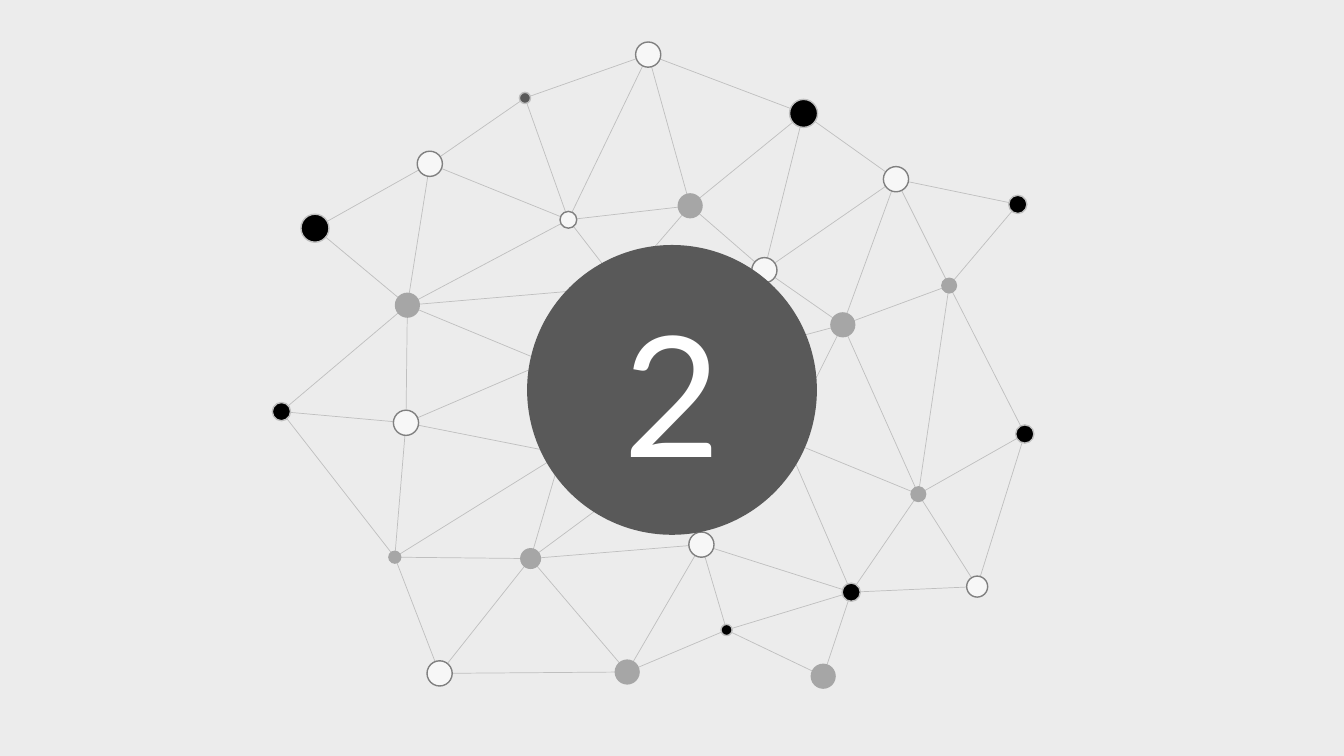
from dataclasses import dataclass
from itertools import pairwise

from lxml import etree
from pptx import Presentation
from pptx.dml.color import RGBColor
from pptx.enum import shapes, text
from pptx.oxml import ns
from pptx.util import Pt


@dataclass(frozen=True)
class Theme:
    background: str = "ECECEC"
    link: str = "BFBFBF"
    black: str = "000000"
    pale: str = "F7F7F7"
    rim: str = "808080"
    grey: str = "A6A6A6"
    dark: str = "595959"
    white: str = "FFFFFF"
    font: str = "Lato"
    number_size: int = 120
    link_width: float = 0.5
    rim_width: float = 1


THEME = Theme()

# Centres of the network's nodes
NODES = {
    "A": (225, 163), "B": (574, 81), "C": (201, 294), "D": (727, 146),
    "E": (732, 310), "F": (608, 423), "G": (519, 450), "H": (290, 302),
    "I": (307, 117), "J": (463, 39), "K": (546, 193), "L": (640, 128),
    "M": (501, 389), "N": (314, 481), "O": (698, 419), "P": (406, 157),
    "Q": (291, 218), "R": (493, 147), "S": (602, 232), "T": (588, 483),
    "U": (448, 480), "V": (379, 399), "W": (678, 204), "X": (656, 353),
    "Y": (282, 398), "Z": (375, 70),
}

# Points behind the disc where links meet
HUBS = {
    "a": (390, 259), "b": (401, 324), "c": (448, 348),
    "d": (561, 314), "e": (490, 262), "f": (443, 205),
}

# Node names, diameter, fill, rim
NODE_STYLES = [
    ("AB", 20, THEME.black, THEME.link),
    ("CDEF", 13, THEME.black, THEME.link),
    ("G", 8, THEME.black, THEME.link),
    ("HIJKLMN", 18, THEME.pale, THEME.rim),
    ("O", 15, THEME.pale, THEME.rim),
    ("P", 12, THEME.pale, THEME.rim),
    ("QRSTU", 18, THEME.grey, None),
    ("V", 15, THEME.grey, None),
    ("WX", 11.5, THEME.grey, None),
    ("Y", 9.5, THEME.grey, None),
    ("Z", 8, THEME.dark, THEME.link),
]

# Each chain links its neighbouring letters; the first is the outer ring
CHAINS = [
    "AIZJBLDWEOFTGUNYCQA", "IPZ", "IQPJRP", "PfQHYVN", "CHaQ", "HbY", "bVc",
    "fRBKR", "KLWSL", "KSXW", "EXO", "eSdXFd", "FGMF", "VMUV",
]


def color(code):
    return RGBColor.from_string(code)


def add_circle(slide, x, y, diameter, fill, rim=None):
    radius = diameter / 2
    shape = slide.shapes.add_shape(
        shapes.MSO_SHAPE.OVAL,
        Pt(x - radius), Pt(y - radius), Pt(diameter), Pt(diameter))
    shape.shadow.inherit = False
    shape.fill.solid()
    shape.fill.fore_color.rgb = color(fill)
    if rim:
        shape.line.color.rgb = color(rim)
        shape.line.width = Pt(THEME.rim_width)
    else:
        shape.line.fill.background()
    return shape


def add_link(slide, start, end):
    connector = slide.shapes.add_connector(
        shapes.MSO_CONNECTOR.STRAIGHT, *map(Pt, start + end))
    connector.line.color.rgb = color(THEME.link)
    connector.line.width = Pt(THEME.link_width)
    etree.SubElement(connector._element.spPr, ns.qn("a:effectLst"))


def add_network(slide, left, top):
    """Links first, nodes above them, measured from the box's corner."""
    places = {name: (left + x, top + y)
              for name, (x, y) in (NODES | HUBS).items()}
    for chain in CHAINS:
        for start, end in pairwise(chain):
            add_link(slide, places[start], places[end])
    for names, diameter, fill, rim in NODE_STYLES:
        for name in names:
            add_circle(slide, *places[name], diameter, fill, rim)


def add_number_disc(slide, left, top, diameter, number):
    radius = diameter / 2
    disc = add_circle(slide, left + radius, top + radius, diameter, THEME.dark)
    frame = disc.text_frame
    frame.vertical_anchor = text.MSO_ANCHOR.MIDDLE
    paragraph = frame.paragraphs[0]
    paragraph.text = number
    paragraph.alignment = text.PP_ALIGN.CENTER
    paragraph.font.name = THEME.font
    paragraph.font.size = Pt(THEME.number_size)
    paragraph.font.color.rgb = color(THEME.white)


def add_section_slide(presentation, number):
    slide = presentation.slides.add_slide(presentation.slide_layouts[6])
    slide.background.fill.solid()
    slide.background.fill.fore_color.rgb = color(THEME.background)
    add_network(slide, 0, 0)
    add_number_disc(slide, 376.5, 175, 207, number)


def main():
    presentation = Presentation()
    presentation.slide_width, presentation.slide_height = Pt(960), Pt(540)
    add_section_slide(presentation, "2")
    presentation.save("out.pptx")


if __name__ == "__main__":
    main()
